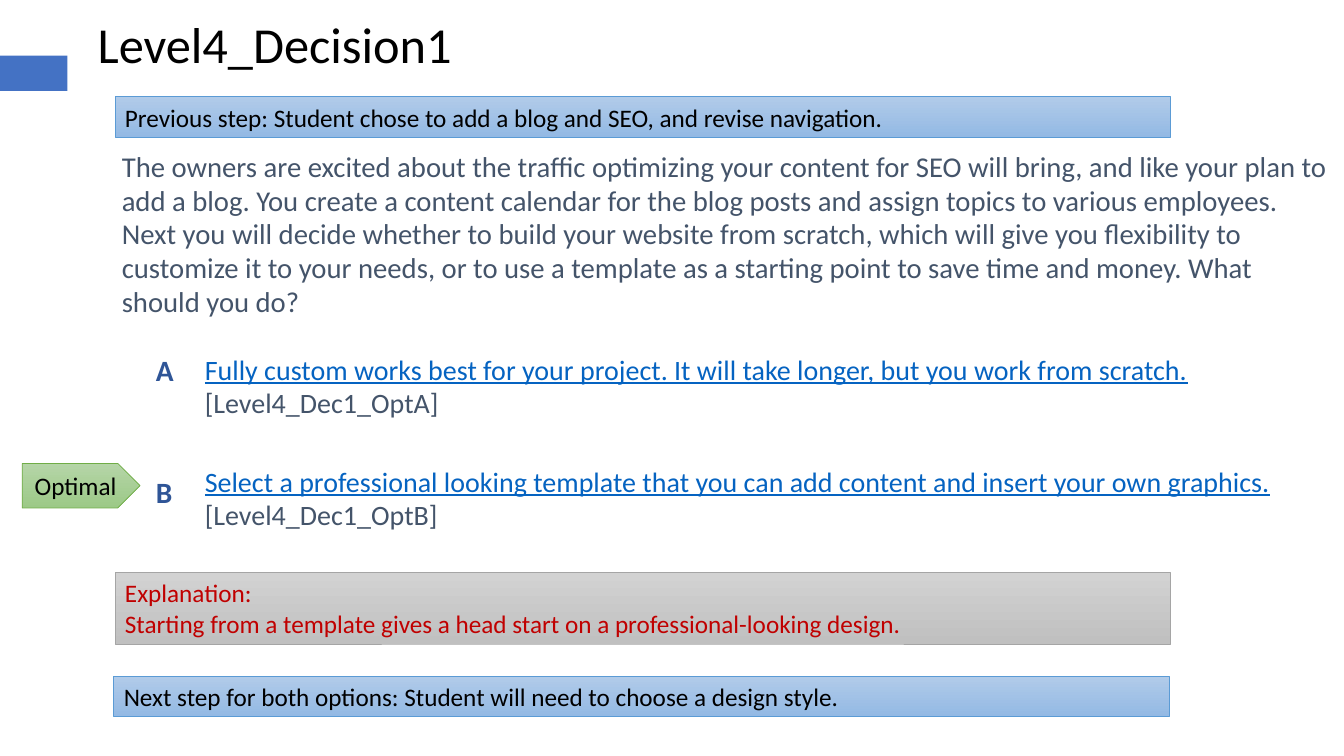
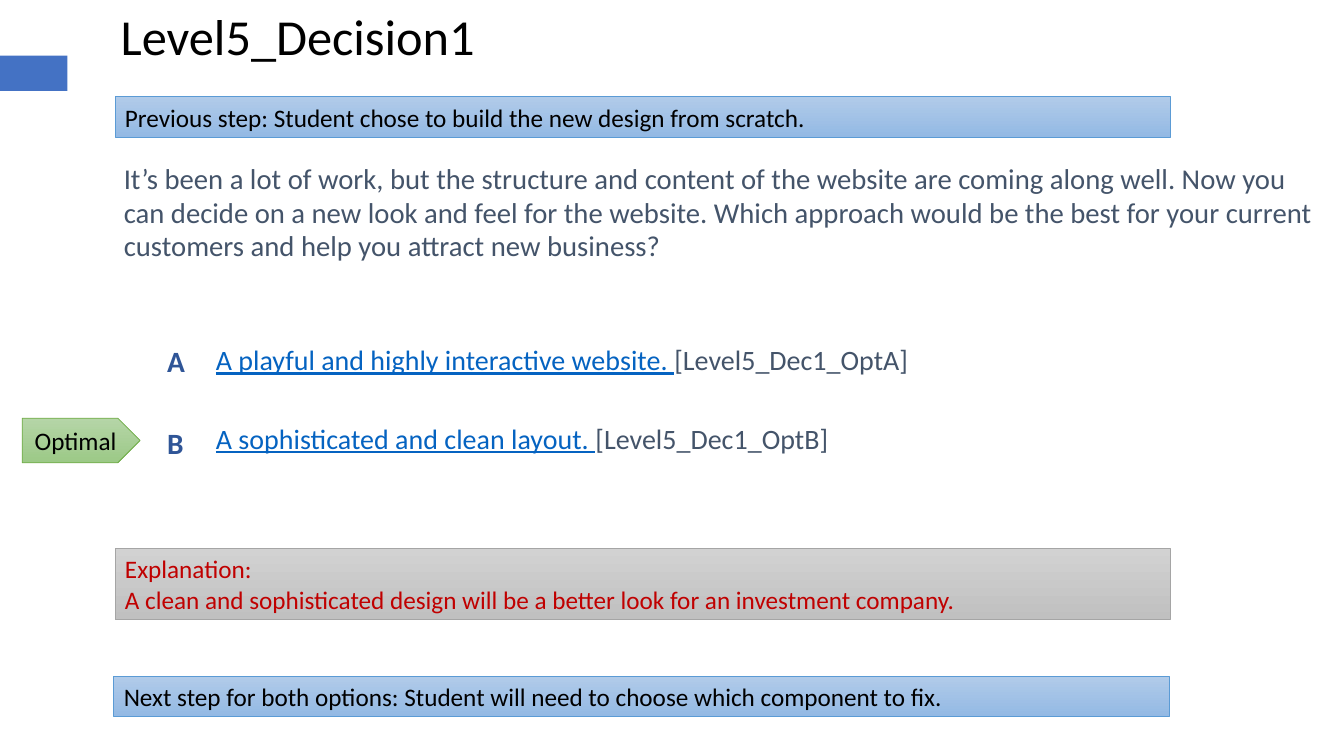
from lxml import etree
from pptx import Presentation
from pptx.dml.color import RGBColor
from pptx.enum.shapes import MSO_SHAPE
from pptx.enum.text import MSO_ANCHOR, MSO_AUTO_SIZE, PP_ALIGN
from pptx.oxml.ns import qn
from pptx.util import Cm, Pt

RECT, ARROW = MSO_SHAPE.RECTANGLE, MSO_SHAPE.PENTAGON
TOP, MIDDLE = MSO_ANCHOR.TOP, MSO_ANCHOR.MIDDLE
LEFT, CENTER = PP_ALIGN.LEFT, PP_ALIGN.CENTER
FIXED = MSO_AUTO_SIZE.NONE

FONT = "Calibri"
WIDE = (0.33, 0.18)
SLIM = (0.25, 0.13)
COLORS = {
    "black": "000000", "slate": "44546A", "link": "0563C1",
    "letter": "2F5597", "red": "C00000", "band": "4472C4",
}
# Fill at the top, fill at the bottom, outline
STYLES = {
    "blue": ("B1CBE9", "93B9E4", "5B9BD5"),
    "gray": ("D2D2D2", "C0C0C0", "A5A5A5"),
    "green": ("B5D5A7", "9CC987", "70AD47"),
}

SLIDES = [
    {
        "title": ("Level4_Decision1", (2.21, 0.2, 10.2, 1.8)),
        "before": "Previous step: Student chose to add a blog and SEO, and revise navigation.",
        "ask": ("The owners are excited about the traffic optimizing your content for SEO "
                "will bring, and like your plan to add a blog. You create a content calendar "
                "for the blog posts and assign topics to various employees. Next you will "
                "decide whether to build your website from scratch, which will give you "
                "flexibility to customize it to your needs, or to use a template as a "
                "starting point to save time and money. What should you do?",
                (2.74, 3.61, 31.12, 6.1)),
        "options": ([("Fully custom works best for your project. It will take longer, "
                      "but you work from scratch. ", "[Level4_Dec1_OptA]"),
                     ("Select a professional looking template that you can add content "
                      "and insert your own graphics. ", "[Level4_Dec1_OptB]")],
                    (4.83, 8.69, 28.47, 5.51), 3.07),
        "tag": 11.68,
        "reason": ("Starting from a template gives a head start on a "
                   "professional-looking design.", 14.43),
        "after": "Next step for both options: Student will need to choose a design style.",
    },
    {
        "title": ("Level5_Decision1", (2.79, 0, 10.2, 1.8)),
        "before": "Previous step: Student chose to build the new design from scratch.",
        "ask": ("It’s been a lot of work, but the structure and content of the website are "
                "coming along well. Now you can decide on a new look and feel for the "
                "website. Which approach would be the best for your current customers and "
                "help you attract new business?",
                (2.79, 3.91, 31.1, 3.53)),
        "options": ([("A playful and highly interactive website. ", "[Level5_Dec1_OptA]"),
                     ("A sophisticated and clean layout. ", "[Level5_Dec1_OptB]")],
                    (5.11, 8.46, 22.53, 4.11), 2.08),
        "tag": 10.54,
        "reason": ("A clean and sophisticated design will be a better look for an "
                   "investment company.", 13.82),
        "after": "Next step for both options: Student will need to choose which component to fix.",
    },
]


def rgb(value):
    return RGBColor.from_string(value)


def write(frame, lines, size=18, color="black", bold=False, align=LEFT,
          anchor=TOP, inset=SLIM, gap=0, pitch=1.0):
    """Fill a frame; a line given as a pair is a link followed by plain text."""
    frame.word_wrap = True
    frame.auto_size = FIXED
    frame.vertical_anchor = anchor
    frame.margin_left = frame.margin_right = Cm(inset[0])
    frame.margin_top = frame.margin_bottom = Cm(inset[1])
    for i, line in enumerate(lines):
        para = frame.add_paragraph() if i else frame.paragraphs[0]
        props = para._p.get_or_add_pPr()
        props.set("marL", "0")
        props.set("indent", "0")
        etree.SubElement(props, qn("a:buNone"))
        para.alignment = align
        para.line_spacing = pitch
        para.space_before = Pt(gap if i else 0)
        pair = isinstance(line, tuple)
        for j, text in enumerate(line if pair else (line,)):
            link = pair and j == 0
            run = para.add_run()
            run.text = text
            font = run.font
            font.name, font.size, font.bold = FONT, Pt(size), bold
            font.underline = link
            font.color.rgb = rgb(COLORS["link" if link else color])


def move(shape, box):
    shape.left, shape.top, shape.width, shape.height = map(Cm, box)


def label(slide, lines, box, **look):
    area = slide.shapes.add_textbox(*map(Cm, box))
    write(area.text_frame, lines, **look)


def panel(slide, lines, box, style, kind=RECT, **look):
    """Draw an outlined shape with a vertical gradient and text."""
    shape = slide.shapes.add_shape(kind, *map(Cm, box))
    shape.shadow.inherit = False
    first, last, edge = STYLES[style]
    shape.fill.gradient()
    shape.fill.gradient_angle = 270
    for stop, value in zip(shape.fill.gradient_stops, (first, last)):
        stop.color.rgb = rgb(value)
    shape.line.color.rgb = rgb(edge)
    shape.line.width = Pt(0.5)
    write(shape.text_frame, lines, **look)


def brand(deck, slide):
    """Draw the side band and hand it to the master."""
    band = slide.shapes.add_shape(RECT, 0, Cm(1.4), Cm(1.7), Cm(0.89))
    band.shadow.inherit = False
    band.fill.solid()
    band.fill.fore_color.rgb = rgb(COLORS["band"])
    band.line.fill.background()
    band.element.nvSpPr.cNvPr.set("id", "20")
    deck.slide_master.element.cSld.spTree.append(band.element)


def choices(slide, lines, box, step):
    """Place the list of options with a letter left of each."""
    body = slide.placeholders[1]
    move(body, box)
    write(body.text_frame, lines, size=20, color="slate", inset=WIDE, gap=32)
    left, top = box[:2]
    for i, letter in enumerate("AB"):
        label(slide, [letter], (left - 1.23, top + i * step, 1.75, 1.3),
              size=21, color="letter", bold=True, inset=WIDE)


def decide(slide, data):
    """Build one decision slide."""
    text, box = data["title"]
    move(slide.shapes.title, box)
    write(slide.shapes.title.text_frame, [text], size=36)
    text, box = data["ask"]
    label(slide, [text], box, size=20.5, color="slate", inset=WIDE, pitch=0.98)
    choices(slide, *data["options"])
    panel(slide, [data["before"]], (2.9, 2.44, 26.59, 1.02), "blue")
    panel(slide, [data["after"]], (2.87, 17.04, 26.59, 1.02), "blue")
    text, top = data["reason"]
    panel(slide, ["Explanation:", text], (2.9, top, 26.59, 1.8), "gray", color="red")
    panel(slide, ["Optimal"], (0.56, data["tag"], 2.97, 1.12), "green",
          kind=ARROW, align=CENTER, anchor=MIDDLE)


def main():
    deck = Presentation()
    deck.slide_width, deck.slide_height = Cm(33.87), Cm(19.05)
    layout = deck.slide_layouts[1]
    for i, data in enumerate(SLIDES):
        slide = deck.slides.add_slide(layout)
        if i == 0:
            brand(deck, slide)
        decide(slide, data)
    deck.save("out.pptx")


if __name__ == "__main__":
    main()
